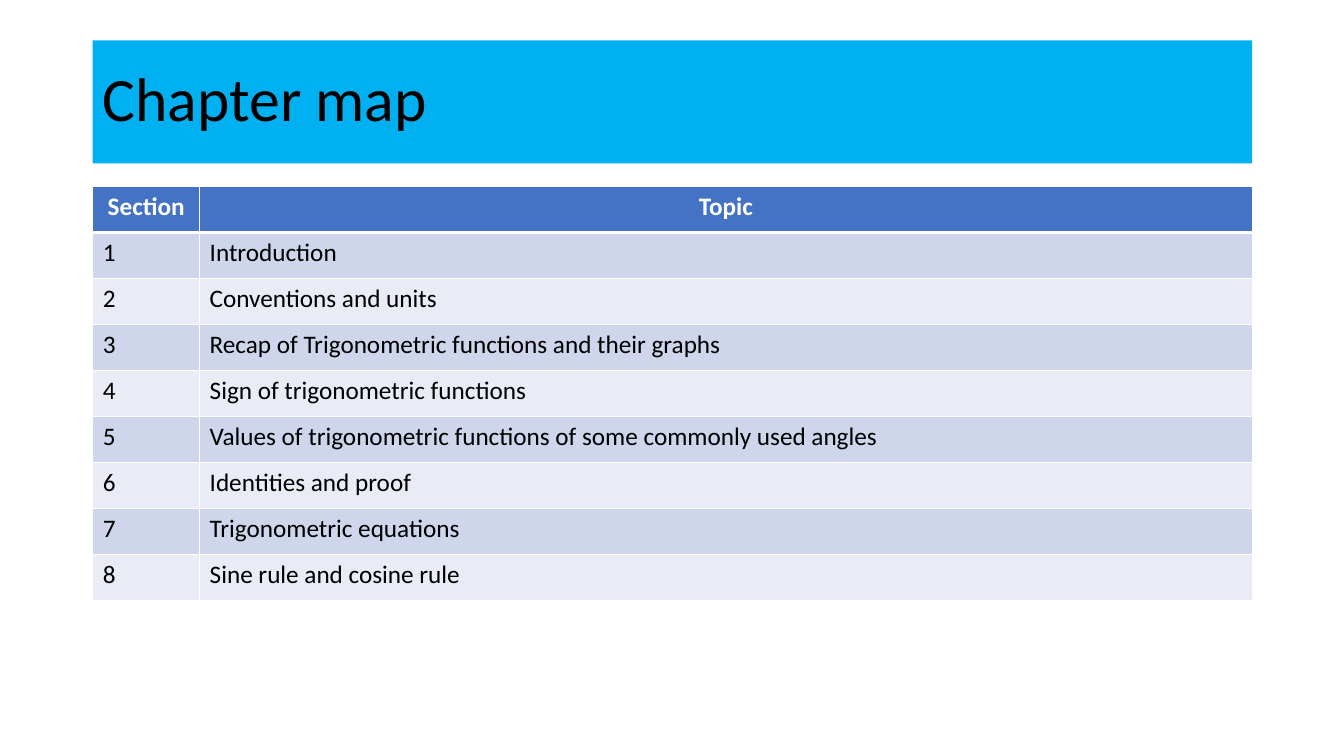
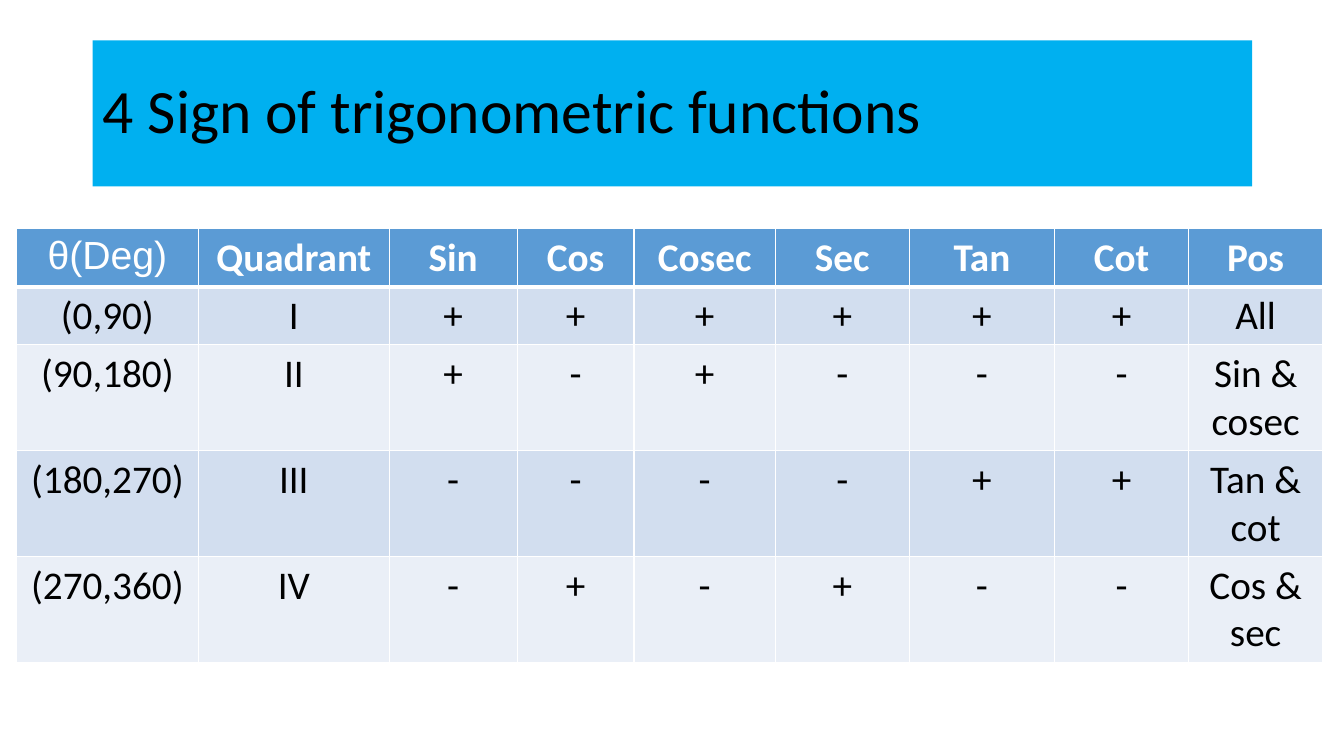
import dataclasses

import lxml.etree
import pptx
import pptx.dml.color
import pptx.enum.shapes
import pptx.enum.text
import pptx.oxml.ns
import pptx.util

Inches = pptx.util.Inches
Align = pptx.enum.text.PP_ALIGN


@dataclasses.dataclass(frozen=True)
class Palette:
    header: str
    odd: str
    even: str


@dataclasses.dataclass(frozen=True)
class Theme:
    font: str = "Calibri"
    symbol_font: str = "Arial"
    title_size: int = 44
    map_size: int = 18
    sign_size: int = 28
    text: str = "000000"
    light: str = "FFFFFF"
    band: str = "00B0F0"
    grid_width: int = 1
    header_rule_width: int = 3
    map_palette: Palette = Palette("4472C4", "CFD5EA", "E9EBF5")
    sign_palette: Palette = Palette("5B9BD5", "D2DEEF", "EAEFF7")


def rgb(value):
    return pptx.dml.color.RGBColor.from_string(value)


class Deck:
    def __init__(self, theme):
        self.theme = theme
        self.presentation = pptx.Presentation()
        self.presentation.slide_width = Inches(13.33)
        self.presentation.slide_height = Inches(7.5)
        self.slide = None

    def new_slide(self):
        self.slide = self.presentation.slides.add_slide(self.presentation.slide_layouts[6])

    def add_text(self, paragraph, text, size, color, font=None, bold=False):
        run = paragraph.add_run()
        run.text = text
        run.font.name = font or self.theme.font
        run.font.size = pptx.util.Pt(size)
        run.font.bold = bold
        run.font.color.rgb = rgb(color)

    def title(self, text, height):
        band = self.slide.shapes.add_shape(
            pptx.enum.shapes.MSO_SHAPE.RECTANGLE,
            Inches(0.92), Inches(0.4), Inches(11.5), Inches(height))
        band.shadow.inherit = False
        band.fill.solid()
        band.fill.fore_color.rgb = rgb(self.theme.band)
        band.line.fill.background()
        band.text_frame.word_wrap = True
        band.text_frame.vertical_anchor = pptx.enum.text.MSO_ANCHOR.MIDDLE
        paragraph = band.text_frame.paragraphs[0]
        paragraph.alignment = Align.LEFT
        paragraph.line_spacing = 0.9
        self.add_text(paragraph, text, self.theme.title_size, self.theme.text)

    def borders(self, cell, row_index):
        rule = self.theme.header_rule_width
        grid = self.theme.grid_width
        widths = {
            "a:lnL": grid,
            "a:lnR": grid,
            "a:lnT": rule if row_index == 1 else grid,
            "a:lnB": rule if row_index == 0 else grid,
        }
        qn = pptx.oxml.ns.qn
        properties = cell._tc.get_or_add_tcPr()
        for position, (side, width) in enumerate(widths.items()):
            line = lxml.etree.Element(qn(side), w=str(int(pptx.util.Pt(width))))
            fill = lxml.etree.SubElement(line, qn("a:solidFill"))
            lxml.etree.SubElement(fill, qn("a:srgbClr"), val=self.theme.light)
            properties.insert(position, line)

    def table(self, left, top, columns, heights, rows, palette, size, body_align, symbol_header=None):
        table = self.slide.shapes.add_table(
            len(rows), len(columns), Inches(left), Inches(top),
            Inches(sum(columns)), Inches(sum(heights))).table
        for column, width in zip(table.columns, columns):
            column.width = Inches(width)
        for row_index, (row, height, texts) in enumerate(zip(table.rows, heights, rows)):
            row.height = Inches(height)
            is_header = row_index == 0
            shade = palette.header if is_header else palette.odd if row_index % 2 else palette.even
            for cell, text in zip(row.cells, texts):
                is_symbol = text == symbol_header
                cell.fill.solid()
                cell.fill.fore_color.rgb = rgb(shade)
                self.borders(cell, row_index)
                paragraph = cell.text_frame.paragraphs[0]
                paragraph.alignment = Align.CENTER if is_header else body_align
                self.add_text(
                    paragraph, text, size,
                    self.theme.light if is_header else self.theme.text,
                    self.theme.symbol_font if is_symbol else None,
                    is_header and not is_symbol)


def chapter_map(deck):
    topics = [
        "Introduction",
        "Conventions and units",
        "Recap of Trigonometric functions and their graphs",
        "Sign of trigonometric functions",
        "Values of trigonometric functions of some commonly used angles",
        "Identities and proof",
        "Trigonometric equations",
        "Sine rule and cosine rule",
    ]
    rows = [("Section", "Topic")]
    rows += [(str(number), topic) for number, topic in enumerate(topics, 1)]
    deck.new_slide()
    deck.title("Chapter map", 1.22)
    deck.table(0.92, 1.85, [1.06, 10.44], [4.11 / len(rows)] * len(rows), rows,
               deck.theme.map_palette, deck.theme.map_size, Align.LEFT)


def function_signs(deck):
    angle = "θ(Deg)"
    quadrants = [
        ("(0,90)", "I", "++++++", "All"),
        ("(90,180)", "II", "+-+---", "Sin & cosec"),
        ("(180,270)", "III", "----++", "Tan & cot"),
        ("(270,360)", "IV", "-+-+--", "Cos & sec"),
    ]
    rows = [(angle, "Quadrant", "Sin", "Cos", "Cosec", "Sec", "Tan", "Cot", "Pos")]
    rows += [(span, name, *signs, positive) for span, name, signs, positive in quadrants]
    deck.new_slide()
    deck.title("4 Sign of trigonometric functions", 1.45)
    deck.table(0.16, 2.27, [1.81, 1.89, 1.27, 1.16, 1.4, 1.33, 1.44, 1.33, 1.33],
               [0.57, 0.57, 1.05, 1.05, 1.05], rows,
               deck.theme.sign_palette, deck.theme.sign_size, Align.CENTER, angle)


def main():
    deck = Deck(Theme())
    chapter_map(deck)
    function_signs(deck)
    deck.presentation.save("out.pptx")


if __name__ == "__main__":
    main()
